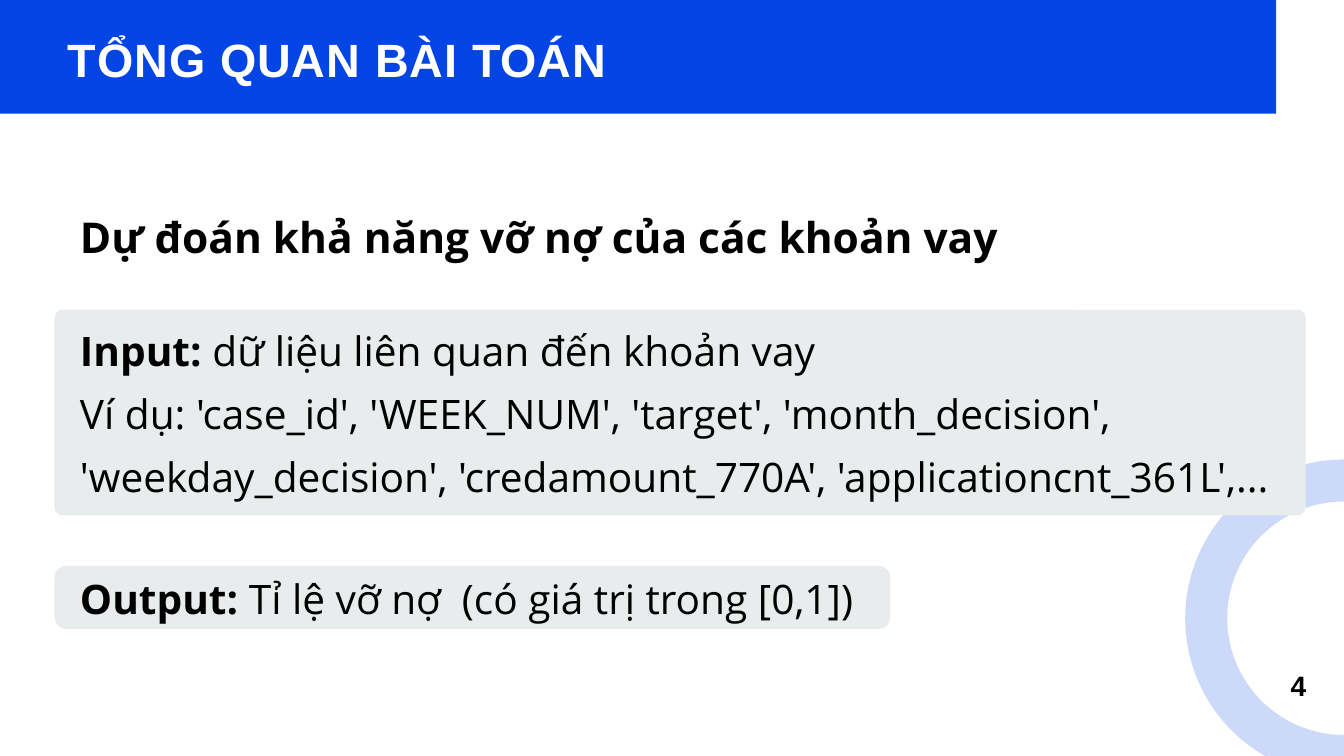
from pptx import Presentation
from pptx.dml.color import RGBColor
from pptx.enum.shapes import MSO_SHAPE as Shape
from pptx.enum.text import MSO_ANCHOR, MSO_AUTO_SIZE, PP_ALIGN as Align
from pptx.oxml.ns import qn
from pptx.util import Inches, Pt
from lxml.etree import SubElement

BLUE = RGBColor(0x03, 0x45, 0xE4)
GREY = RGBColor(0xE8, 0xEC, 0xEC)
WHITE = RGBColor(0xFF, 0xFF, 0xFF)
BLACK = RGBColor(0, 0, 0)

# Paragraphs are lists of (text, bold) runs; boxes are left, top, width, height
TITLE = [[("TỔNG QUAN BÀI TOÁN", True)]]
GOAL = [[("Dự đoán khả năng vỡ nợ của các khoản vay", True)]]
INPUT = [
    [("Input: ", True), ("dữ liệu liên quan đến khoản vay", False)],
    [("Ví dụ: 'case_id', 'WEEK_NUM', 'target', 'month_decision', "
      "'weekday_decision', 'credamount_770A', 'applicationcnt_361L',...", False)],
]
OUTPUT = [[("Output:", True), (" Tỉ lệ vỡ nợ  (có giá trị trong [0,1])", False)]]
PAGE_NUMBER = [[("4", True)]]

TITLE_STYLE = dict(name="Arial", size=50, color=WHITE, line=70, align=Align.LEFT)
GOAL_STYLE = dict(name="Open Sans", size=45.5, color=BLACK, line=70.5, align=Align.JUSTIFY)
BODY_STYLE = dict(name="Open Sans", size=43.5, color=BLACK, line=67.5, align=Align.LEFT)
PAGE_STYLE = dict(name="Arial", size=30, color=BLACK, line=42, align=Align.CENTER)

TITLE_BOX = (1.01, 0.32, 11.78, 1.01)
TEXTS = [
    (GOAL, (1.19, 2.92, 14.54, 0.92), GOAL_STYLE),
    (INPUT, (1.19, 4.64, 18.25, 2.75), BODY_STYLE),
    (OUTPUT, (1.19, 8.33, 12.07, 0.89), BODY_STYLE),
    (PAGE_NUMBER, (19.2, 9.86, 0.24, 0.6), PAGE_STYLE),
]
BAR_BOX = (0, 0, 18.99, 1.69)
RING_BOX = (17.95, 7.15, 4.1, 4.1)
PANELS = [((0.81, 4.61, 18.62, 3.06), 0.12), ((0.81, 8.42, 12.44, 0.94), 0.18)]  # box, radius

FRAME_FORMAT = dict(margin_left=0, margin_top=0, margin_right=0, margin_bottom=0,
                    word_wrap=True, auto_size=MSO_AUTO_SIZE.NONE,
                    vertical_anchor=MSO_ANCHOR.TOP)


def set_all(target, values):
    for key, value in values.items():
        setattr(target, key, value)


def inches(box):
    return [Inches(length) for length in box]


def add_shape(slide, preset, box, fill=None):
    shape = slide.shapes.add_shape(preset, *inches(box))
    shape.shadow.inherit = False
    shape.line.fill.background()
    if fill is None:
        shape.fill.background()
    else:
        shape.fill.solid()
        shape.fill.fore_color.rgb = fill
    return shape


def write(frame, paragraphs, style):
    set_all(frame, FRAME_FORMAT)
    for index, runs in enumerate(paragraphs):
        paragraph = frame.add_paragraph() if index else frame.paragraphs[0]
        set_all(paragraph, dict(alignment=style["align"], line_spacing=Pt(style["line"])))
        for text, bold in runs:
            run = paragraph.add_run()
            run.text = text
            set_all(run.font, dict(name=style["name"], size=Pt(style["size"]), bold=bold))
            run.font.color.rgb = style["color"]


def add_ring(slide):
    ring = add_shape(slide, Shape.OVAL, RING_BOX)
    ring.line.width = Pt(45)
    ring.line.color.rgb = BLUE
    color = ring.line._ln.find(".//" + qn("a:srgbClr"))
    SubElement(color, qn("a:alpha"), val="20000")


def add_title(slide):
    title = slide.shapes.title
    set_all(title, dict(zip(("left", "top", "width", "height"), inches(TITLE_BOX))))
    write(title.text_frame, TITLE, TITLE_STYLE)
    title.text_frame.paragraphs[0].runs[0].font._element.set("spc", "100")
    slide.shapes._spTree.append(title._element)  # bring in front of the bar


def main():
    deck = Presentation()
    set_all(deck, dict(slide_width=Inches(20), slide_height=Inches(11.25)))
    slide = deck.slides.add_slide(deck.slide_layouts[5])

    add_shape(slide, Shape.RECTANGLE, BAR_BOX, BLUE)
    add_ring(slide)
    add_title(slide)
    for box, radius in PANELS:
        panel = add_shape(slide, Shape.ROUNDED_RECTANGLE, box, GREY)
        panel.adjustments[0] = radius / box[3]
    for paragraphs, box, style in TEXTS:
        write(slide.shapes.add_textbox(*inches(box)).text_frame, paragraphs, style)

    deck.save("out.pptx")


if __name__ == "__main__":
    main()
